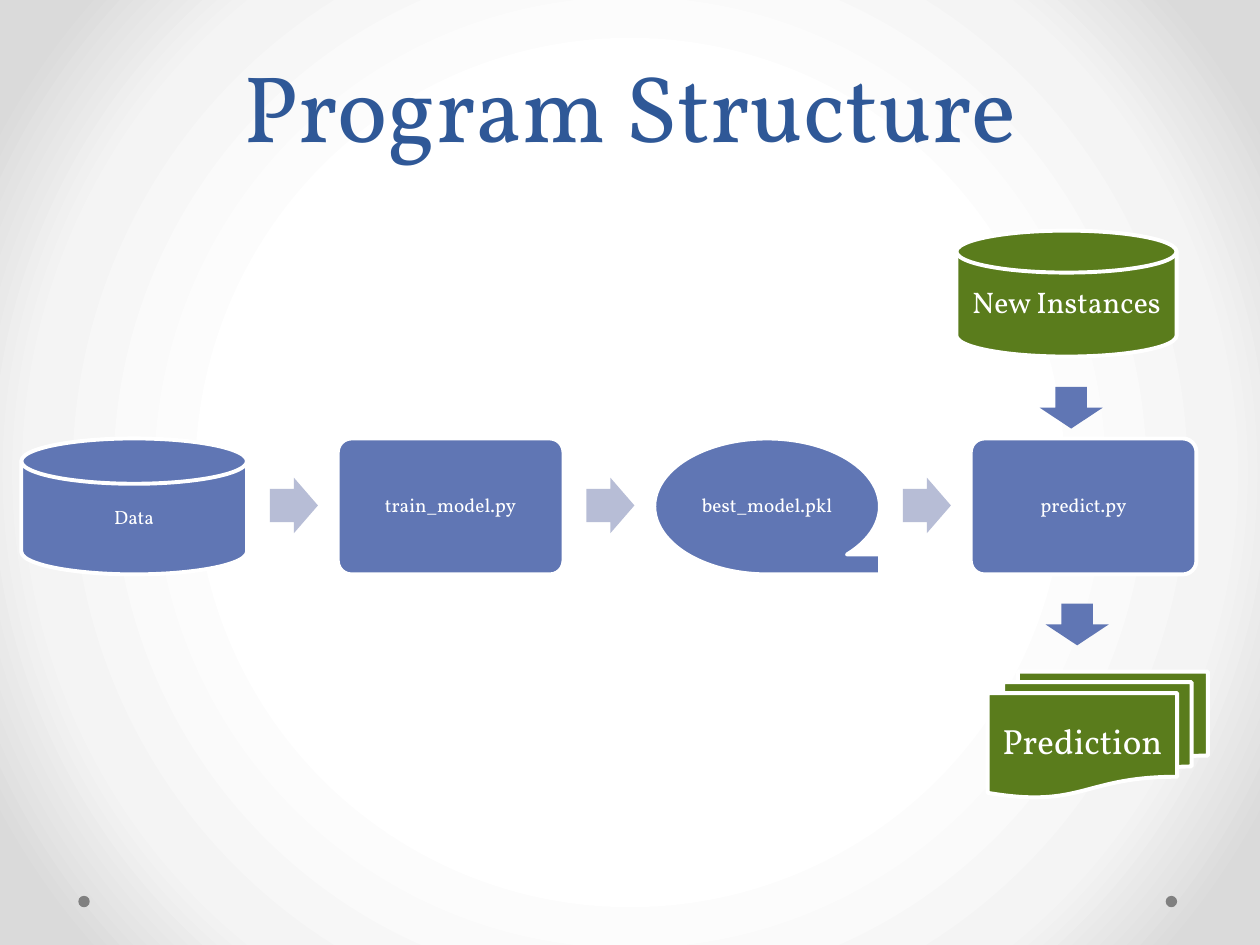
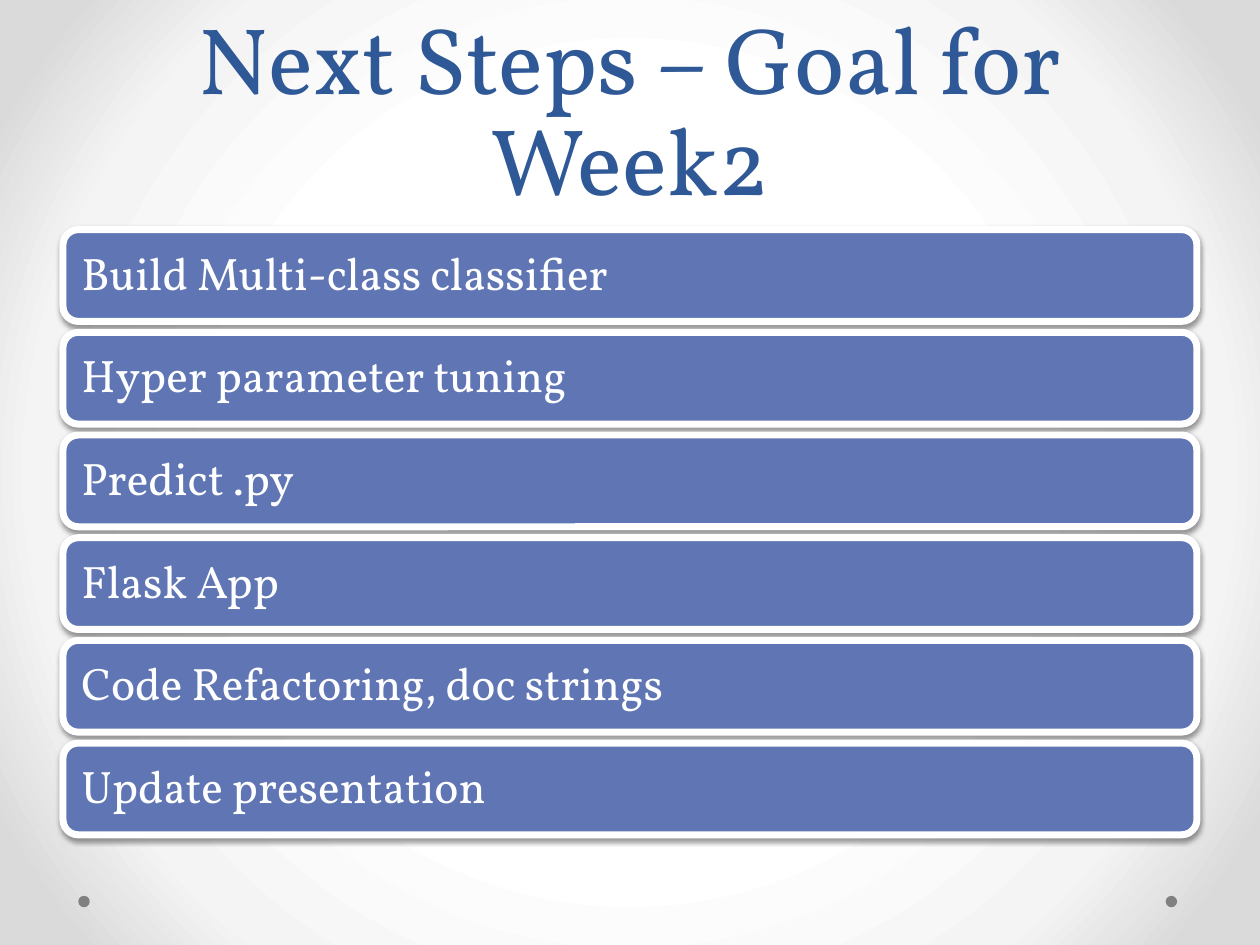
from pptx import Presentation
from pptx.dml.color import RGBColor
from pptx.enum.shapes import MSO_SHAPE as Shape
from pptx.enum.text import MSO_ANCHOR as Anchor, PP_ALIGN as Align
from pptx.oxml import parse_xml
from pptx.oxml.ns import nsdecls, qn
from pptx.util import Cm, Pt

TITLE_BLUE = RGBColor(0x2F, 0x58, 0x97)
BLUE = RGBColor(0x60, 0x76, 0xB4)
PALE_BLUE = RGBColor(0xB7, 0xBD, 0xD6)
GREEN = RGBColor(0x5A, 0x7C, 0x1C)
GRAY = RGBColor(0x80, 0x80, 0x80)
WHITE = RGBColor(0xFF, 0xFF, 0xFF)

FONT = "Vollkorn"
BACKDROP = ((50, "FFFFFF"), (76, "F4F4F4"), (92, "DADADA"))


def write(frame, text, size, color=WHITE, align=Align.CENTER,
          anchor=Anchor.MIDDLE, spacing=0.9, inset=None):
    """Put one formatted paragraph into a text frame; inset is in cm."""
    frame.word_wrap = True
    frame.vertical_anchor = anchor
    if inset is not None:
        frame.margin_left = frame.margin_right = Cm(inset)
        frame.margin_top = frame.margin_bottom = Cm(inset)
    paragraph = frame.paragraphs[0]
    paragraph.alignment = align
    paragraph.line_spacing = spacing
    run = paragraph.add_run()
    run.text = text
    run.font.name = FONT
    run.font.size = Pt(size)
    run.font.color.rgb = color


class Deck:
    """Holds the shared style and the slide being built; lengths are in cm."""

    def __init__(self):
        self.prs = Presentation()
        self.prs.slide_width, self.prs.slide_height = Cm(25.4), Cm(19.05)
        self.slide = None
        self.set_backdrop()

    def set_backdrop(self):
        master = self.prs.slide_master
        master.background.fill.solid()
        plain = master.element.find(".//" + qn("a:solidFill"))
        stops = "".join(
            f'<a:gs pos="{pos * 1000}"><a:srgbClr val="{color}"/></a:gs>'
            for pos, color in BACKDROP)
        radial = parse_xml(
            f'<a:gradFill {nsdecls("a")} rotWithShape="1">'
            f'<a:gsLst>{stops}</a:gsLst><a:path path="circle">'
            '<a:fillToRect l="50000" t="50000" r="50000" b="50000"/>'
            '</a:path></a:gradFill>')
        plain.getparent().replace(plain, radial)

    def new_slide(self, title, title_height):
        self.slide = self.prs.slides.add_slide(self.prs.slide_layouts[6])
        # Footer dots
        for left in (23.5, 1.58):
            self.shape(Shape.OVAL, left, 18.06, 0.23, 0.23, GRAY)
        # Title
        box = self.slide.shapes.add_textbox(
            Cm(1.27), Cm(0), Cm(22.86), Cm(title_height))
        write(box.text_frame, title, 54, TITLE_BLUE,
              anchor=Anchor.BOTTOM, spacing=Pt(58))

    def shape(self, kind, left, top, width, height, fill, border=None, adjust=()):
        shape = self.slide.shapes.add_shape(
            kind, Cm(left), Cm(top), Cm(width), Cm(height))
        shape.shadow.inherit = False
        shape.fill.solid()
        shape.fill.fore_color.rgb = fill
        if border:
            shape.line.color.rgb = WHITE
            shape.line.width = Pt(border)
        else:
            shape.line.fill.background()
        for index, value in enumerate(adjust):
            shape.adjustments[index] = value
        return shape

    def node(self, kind, text, left, top, width, height, fill, size, inset,
             adjust=()):
        node = self.shape(kind, left, top, width, height, fill, 2.25, adjust)
        write(node.text_frame, text, size, inset=inset)

    def bar(self, text, top):
        bar = self.shape(Shape.ROUNDED_RECTANGLE, 1.27, top, 22.86, 1.85, BLUE, 4)
        write(bar.text_frame, text, 26, align=Align.LEFT, inset=0.28)
        effects = bar.element.spPr.find(qn("a:effectLst"))
        effects.append(parse_xml(
            f'<a:outerShdw {nsdecls("a")} blurRad="{Pt(3.1)}" dist="{Pt(1.6)}" '
            'dir="5400000" rotWithShape="0"><a:srgbClr val="000000">'
            '<a:alpha val="38000"/></a:srgbClr></a:outerShdw>'))


def build_structure(deck):
    deck.new_slide("Program Structure", 3.38)

    # Training pipeline, left to right
    stages = (
        (Shape.FLOWCHART_MAGNETIC_DISK, "Data", ()),
        (Shape.ROUNDED_RECTANGLE, "train_model.py", (0.1,)),
        (Shape.FLOWCHART_SEQUENTIAL_ACCESS_STORAGE, "best_model.pkl", ()),
        (Shape.ROUNDED_RECTANGLE, "predict.py", (0.1,)),
    )
    first_left, pitch = 0.43, 6.38
    for i, (kind, text, adjust) in enumerate(stages):
        left = first_left + i * pitch
        if i:
            deck.shape(Shape.RIGHT_ARROW, left - 1.37, 9.63, 0.97, 1.12,
                       PALE_BLUE, adjust=(0.6, 0.5))
        deck.node(kind, text, left, 8.84, 4.55, 2.74, BLUE, 11, 0.13, adjust)

    # Input and output of the prediction step
    deck.node(Shape.FLOWCHART_MAGNETIC_DISK, "New Instances",
              19.28, 4.65, 4.44, 2.54, GREEN, 17, 0.18)
    for left, top in ((20.96, 7.8), (21.08, 12.17)):
        deck.shape(Shape.DOWN_ARROW, left, top, 1.27, 0.84, BLUE)
    deck.node(Shape.FLOWCHART_MULTIDOCUMENT, "Prediction",
              19.91, 13.54, 4.44, 2.54, GREEN, 20, 0.2)


def build_next_steps(deck):
    deck.new_slide("Next Steps – Goal for Week2", 4.45)
    goals = ("Build Multi-class classifier", "Hyper parameter tuning",
             "Predict .py", "Flask App", "Code Refactoring, doc strings",
             "Update presentation")
    for i, goal in enumerate(goals):
        deck.bar(goal, 4.63 + i * 2.07)


def main():
    deck = Deck()
    build_structure(deck)
    build_next_steps(deck)
    deck.prs.save("out.pptx")


if __name__ == "__main__":
    main()
